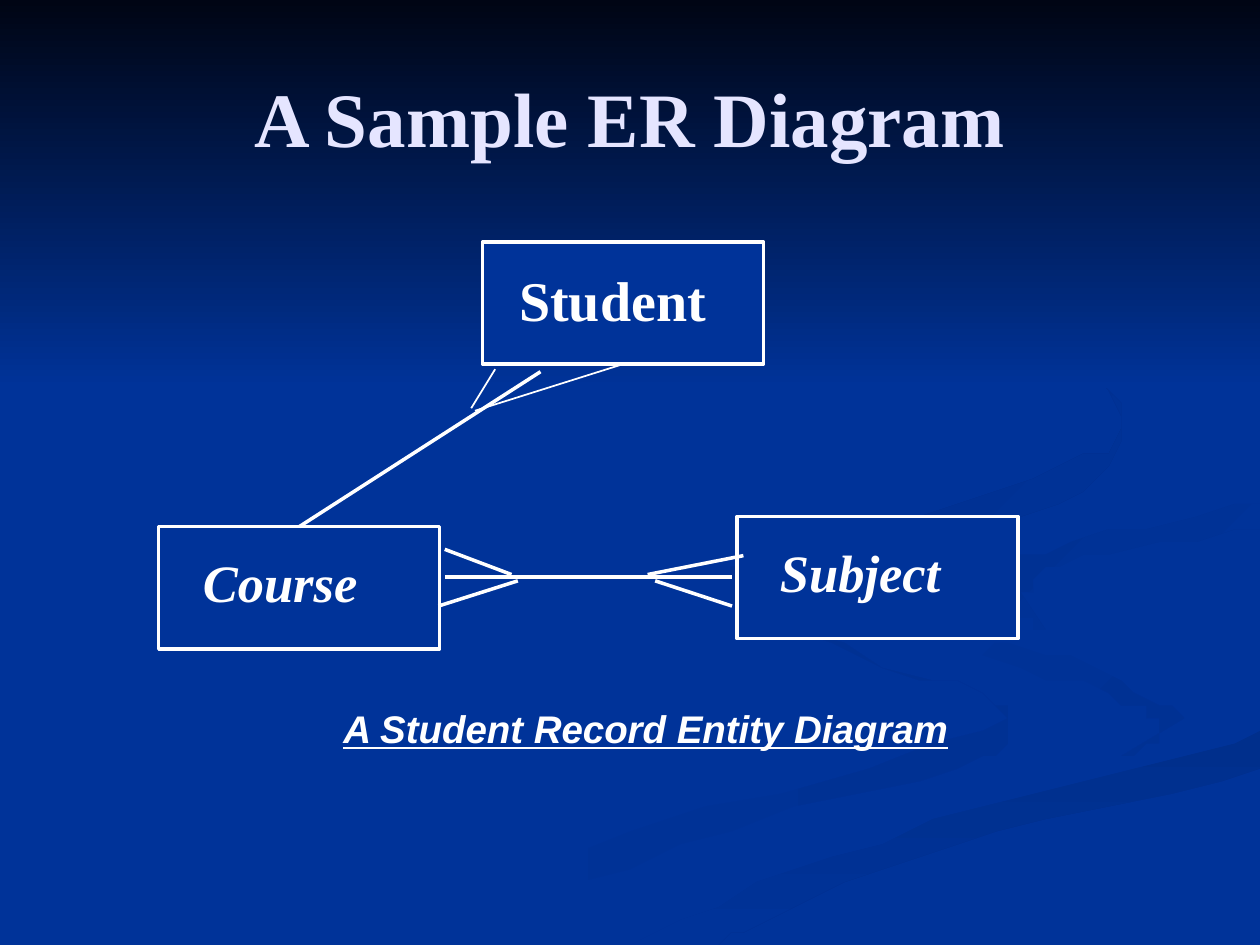
from lxml.etree import SubElement
from pptx import Presentation
from pptx.dml.color import RGBColor
from pptx.enum.shapes import MSO_CONNECTOR, MSO_SHAPE
from pptx.enum.text import MSO_ANCHOR, MSO_AUTO_SIZE, PP_ALIGN
from pptx.oxml.ns import qn
from pptx.util import Inches, Pt

# The slide is a grid of 100 columns by 75 rows
CELL = Inches(0.1)
COLUMNS, ROWS = 100, 75
BOX_WIDTH, BOX_HEIGHT = 22.3, 9.7
BOTTOM, TOP = 2, 0
CURVE_STEPS = 5

BLUE = RGBColor(0x00, 0x33, 0x99)
NIGHT = RGBColor(0x00, 0x05, 0x14)
SHADE = RGBColor(0x00, 0x31, 0x93)
DARK_SHADE = RGBColor(0x00, 0x2F, 0x8C)
WHITE = RGBColor(0xFF, 0xFF, 0xFF)
LAVENDER = RGBColor(0xE5, 0xE5, 0xFF)
SERIF, SANS = "Times New Roman", "Arial"

# Ribbons: start colour, end colour, clockwise angle, smooth edges
RIBBONS = [
    (BLUE, SHADE, 0, [
        [(57.5, 46), (60, 49.5), (76, 54.5), (78, 58), (50, 66), (30, 75)],
        [(36, 75), (54, 67), (76, 61), (80, 58), (76, 54.5), (61, 49.5), (57.5, 46)]]),
    (BLUE, SHADE, 45, [
        [(72, 46), (76, 51), (88, 55), (92, 58), (89, 60.5)],
        [(94, 57), (87, 53), (76, 50), (72, 46)]]),
    (DARK_SHADE, BLUE, 90, [
        [(50, 75), (63, 69), (82, 63), (100, 58)],
        [(100, 61), (79, 66), (65, 71), (57, 75)]]),
    (BLUE, BLUE, 0, [
        [(73, 46), (76, 50), (87, 53), (94, 57), (84, 62), (62, 68), (48, 75)],
        [(50, 75), (63, 69), (82, 63), (100, 58)],
        [(100, 54), (85, 50), (78, 46), (85, 43), (100, 40)],
        [(100, 39), (81, 42), (73, 46)]]),
    (SHADE, BLUE, 45, [
        [(78, 46), (79, 48), (83, 50)],
        [(81, 47), (86, 44), (100, 42)],
        [(100, 40), (85, 43), (78, 46)]]),
    (DARK_SHADE, BLUE, 45, [
        [(76, 23), (87, 30), (88, 35.5), (76, 40), (60, 44), (58, 47), (62, 50)],
        [(59, 47), (65, 43.5), (84, 40), (89, 34), (84, 27.5), (76, 23)]]),
]

# Entities: name, left, top, text size, italic, text offset
ENTITIES = [
    ("Student", 38.3, 19.2, 32, False, -1.6),
    ("Course", 12.6, 41.8, 30, True, -1),
    ("Subject", 58.5, 41, 30, True, -1.1),
]
HANGING = Inches(0.35)

# Loose strokes of the relations: start, end, width
STROKES = [
    ((35.3, 45.8), (58.1, 45.8), 2),
    ((35.3, 43.6), (40.6, 45.6), 2),
    ((41.1, 46.1), (34.8, 48.1), 2),
    ((52, 46.1), (58.1, 48.1), 2),
    ((59, 44.1), (51.4, 45.6), 2),
    ((39.3, 29.3), (37.4, 32.4), 1),
]


def cells(*values):
    return [round(value * CELL) for value in values]


def smooth(points):
    """Return points along a Catmull-Rom curve through the given points."""
    padded = [points[0], *points, points[-1]]
    curve = []
    for knots in zip(padded, padded[1:], padded[2:], padded[3:]):
        for step in range(CURVE_STEPS):
            t = step / CURVE_STEPS
            curve.append(tuple(
                b + t * (c - a + t * (2 * a - 5 * b + 4 * c - d
                                      + t * (3 * b - a - 3 * c + d))) / 2
                for a, b, c, d in zip(*knots)))
    return curve + [points[-1]]


def set_gradient(shape, first, last, clockwise):
    if first == last:
        shape.fill.solid()
        shape.fill.fore_color.rgb = first
    else:
        shape.fill.gradient()
        shape.fill.gradient_angle = (360 - clockwise) % 360
        for stop, color in zip(shape.fill.gradient_stops, (first, last)):
            stop.color.rgb = color
    shape.line.fill.background()
    shape.shadow.inherit = False


def add_ribbon(slide, first, last, clockwise, edges):
    points = [point for edge in edges for point in smooth(edge)]
    builder = slide.shapes.build_freeform(*points[0], scale=CELL)
    builder.add_line_segments(points[1:], close=True)
    set_gradient(builder.convert_to_shape(), first, last, clockwise)


def add_text(slide, text, left, top, width, height, *, size, font=SERIF,
             color=WHITE, italic=False, underline=False, wrap=True, grow=True,
             align=PP_ALIGN.LEFT, anchor=MSO_ANCHOR.TOP, before=0, indent=0):
    box = slide.shapes.add_textbox(*cells(left, top, width, height))
    frame = box.text_frame
    frame.word_wrap = wrap
    frame.auto_size = MSO_AUTO_SIZE.SHAPE_TO_FIT_TEXT if grow else MSO_AUTO_SIZE.NONE
    frame.vertical_anchor = anchor
    frame.margin_left += indent
    paragraph = frame.paragraphs[0]
    paragraph.alignment = align
    paragraph.space_before = Pt(before)
    run = paragraph.add_run()
    run.text = text
    run.font.name, run.font.size, run.font.bold = font, Pt(size), True
    run.font.italic, run.font.underline = italic, underline
    run.font.color.rgb = color


def add_entity(slide, name, left, top, size, italic, offset):
    box = slide.shapes.add_shape(
        MSO_SHAPE.RECTANGLE, *cells(left, top, BOX_WIDTH, BOX_HEIGHT))
    box.fill.solid()
    box.fill.fore_color.rgb = BLUE
    box.line.color.rgb = WHITE
    box.line.width = Pt(2)
    box.shadow.inherit = False
    add_text(slide, name, left + offset, top + 1.4, 23.5, 6, size=size,
             italic=italic, before=size * 0.2, indent=HANGING)
    return box


def add_stroke(slide, start, end, width):
    stroke = slide.shapes.add_connector(
        MSO_CONNECTOR.STRAIGHT, *cells(*start, *end))
    stroke.line.color.rgb = WHITE
    stroke.line.width = Pt(width)
    SubElement(stroke._element.spPr, qn("a:effectLst"))
    return stroke


def main():
    presentation = Presentation()
    presentation.slide_width, presentation.slide_height = cells(COLUMNS, ROWS)
    slide = presentation.slides.add_slide(presentation.slide_layouts[6])

    # Background
    slide.background.fill.solid()
    slide.background.fill.fore_color.rgb = BLUE
    for ribbon in RIBBONS:
        add_ribbon(slide, *ribbon)
    sky = slide.shapes.add_shape(MSO_SHAPE.RECTANGLE, *cells(0, 0, COLUMNS, 30.8))
    set_gradient(sky, NIGHT, BLUE, 90)

    # Title and caption
    add_text(slide, "A Sample ER Diagram", 5, 3, 90, 12.5, size=44, color=LAVENDER,
             grow=False, align=PP_ALIGN.CENTER, anchor=MSO_ANCHOR.MIDDLE)
    add_text(slide, "A Student Record Entity Diagram", 26.2, 55.5, 50.1, 4.6,
             size=22, font=SANS, italic=True, underline=True, wrap=False,
             align=PP_ALIGN.CENTER)

    # Entities
    boxes = {entity[0]: add_entity(slide, *entity) for entity in ENTITIES}

    # Relations with crow's feet
    enrolment = add_stroke(slide, (42.9, 29.5), (23.2, 41.5), 2)
    enrolment.end_connect(boxes["Course"], TOP)
    for stroke in STROKES:
        add_stroke(slide, *stroke)
    foot = add_stroke(slide, (37.7, 32.6), (49, 29), 1)
    foot.end_connect(boxes["Student"], BOTTOM)

    presentation.save("out.pptx")


if __name__ == "__main__":
    main()
